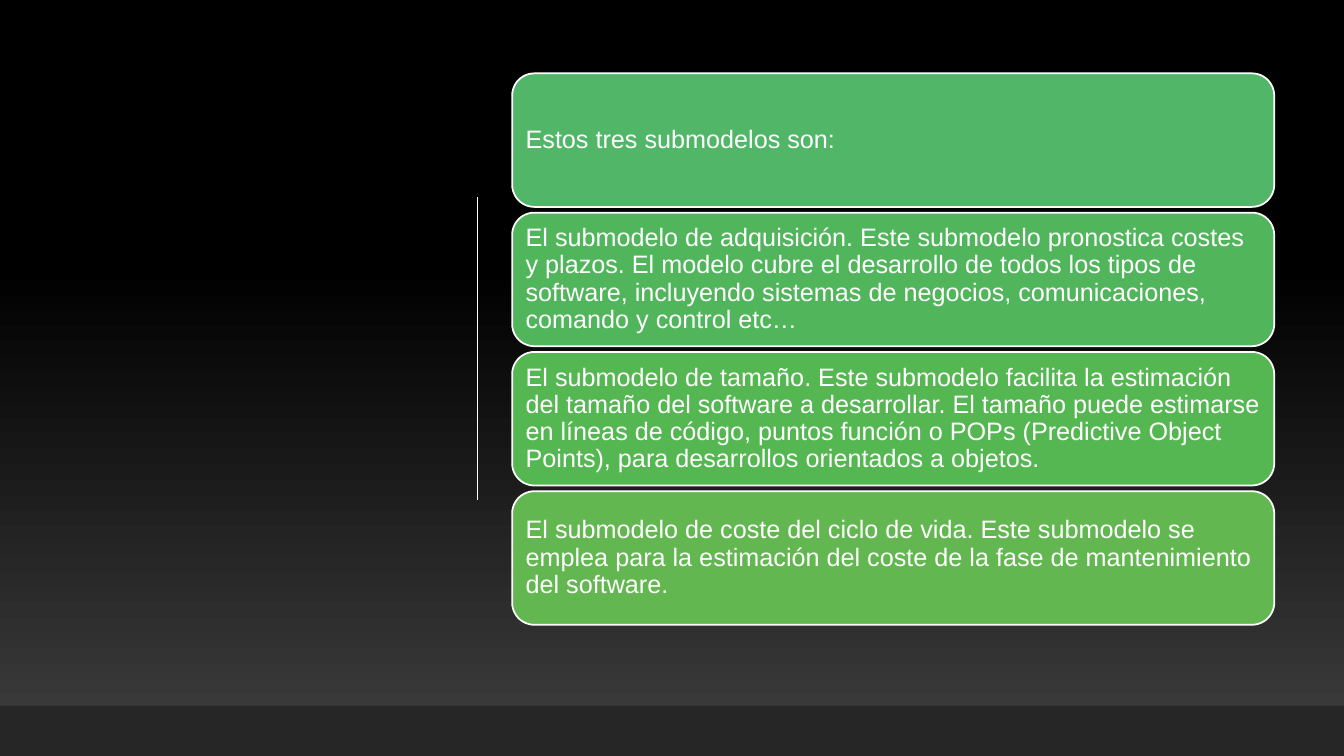
from dataclasses import dataclass

from pptx import Presentation
from pptx.dml.color import RGBColor
from pptx.dml.fill import FillFormat
from pptx.enum.shapes import MSO_CONNECTOR as CONN, MSO_SHAPE as SHAPE
from pptx.enum.text import MSO_ANCHOR as ANCHOR, PP_ALIGN as ALIGN
from pptx.oxml.ns import qn
from pptx.shapes.autoshape import Shape
from pptx.slide import Slide
from pptx.util import Pt
from lxml.etree import SubElement

COLORS = {
    "black": "000000",
    "gray": "3F3F3F",
    "band": "262626",
    "white": "FFFFFF",
    "intro": "52B669",
    "acquisition": "51B65B",
    "size": "55B751",
    "life_cycle": "63B750",
}
SLIDE_W, SLIDE_H = 960, 540
CARD_LEFT, CARD_TOP, CARD_W, CARD_H = 365.8, 52.4, 544.4, 95.4
CARD_PITCH = 99.5


@dataclass(frozen=True)
class Card:
    color: str
    text: str


CARDS = [
    Card("intro", "Estos tres submodelos son:"),
    Card("acquisition",
         "El submodelo de adquisición. Este submodelo pronostica costes y plazos. "
         "El modelo cubre el desarrollo de todos los tipos de software, incluyendo "
         "sistemas de negocios, comunicaciones, comando y control etc…"),
    Card("size",
         "El submodelo de tamaño. Este submodelo facilita la estimación del tamaño "
         "del software a desarrollar. El tamaño puede estimarse en líneas de código, "
         "puntos función o POPs (Predictive Object Points), para desarrollos "
         "orientados a objetos."),
    Card("life_cycle",
         "El submodelo de coste del ciclo de vida. Este submodelo se emplea para la "
         "estimación del coste de la fase de mantenimiento del software."),
]


def rgb(name: str) -> RGBColor:
    return RGBColor.from_string(COLORS[name])


def fade_up(fill: FillFormat) -> None:
    """Gray at the bottom, turning black at 65 % of the height."""
    fill.gradient()
    fill.gradient_angle = 90
    for stop, name, position in zip(fill.gradient_stops, ("gray", "black"), (0, 0.65)):
        stop.color.rgb = rgb(name)
        stop.position = position


def add_box(s: Slide, kind: SHAPE, x: float, y: float, w: float, h: float,
            color: str) -> Shape:
    sp = s.shapes.add_shape(kind, Pt(x), Pt(y), Pt(w), Pt(h))
    sp.shadow.inherit = False
    sp.fill.solid()
    sp.fill.fore_color.rgb = rgb(color)
    sp.line.fill.background()
    return sp


def write(sp: Shape, text: str, *, size: float = 18, font: str = "Arial",
          color: str = "white", inset: float = 5, spacing: float = 0.9) -> None:
    tf = sp.text_frame
    tf.word_wrap = True
    tf.vertical_anchor = ANCHOR.MIDDLE
    tf.margin_left = tf.margin_right = tf.margin_top = tf.margin_bottom = Pt(inset)
    p = tf.paragraphs[0]
    p.alignment = ALIGN.LEFT
    p.line_spacing = spacing
    r = p.add_run()
    r.text = text
    r.font.size = Pt(size)
    r.font.name = font
    r.font.color.rgb = rgb(color)


def add_card(s: Slide, card: Card, y: float) -> None:
    sp = add_box(s, SHAPE.ROUNDED_RECTANGLE, CARD_LEFT, y, CARD_W, CARD_H, card.color)
    sp.line.color.rgb = rgb("white")
    sp.line.width = Pt(1.25)
    write(sp, card.text)


def add_rule(s: Slide, x: float, top: float, bottom: float) -> None:
    rule = s.shapes.add_connector(CONN.STRAIGHT, Pt(x), Pt(top), Pt(x), Pt(bottom))
    rule.line.color.rgb = rgb("white")
    rule.line.width = Pt(1)
    SubElement(rule._element.spPr, qn("a:effectLst"))


def main() -> None:
    prs = Presentation()
    prs.slide_width, prs.slide_height = Pt(SLIDE_W), Pt(SLIDE_H)
    s = prs.slides.add_slide(prs.slide_layouts[6])

    # Backdrop
    fade_up(s.background.fill)
    backdrop = add_box(s, SHAPE.RECTANGLE, 0, 0, SLIDE_W, SLIDE_H, "black")
    fade_up(backdrop.fill)

    # Vertical rule and bottom band
    add_rule(s, 341.3, 141, 357)
    add_box(s, SHAPE.RECTANGLE, 0, 504, SLIDE_W, 36, "band")

    # Stack of cards
    for i, card in enumerate(CARDS):
        add_card(s, card, CARD_TOP + i * CARD_PITCH)

    prs.save("out.pptx")


if __name__ == "__main__":
    main()
